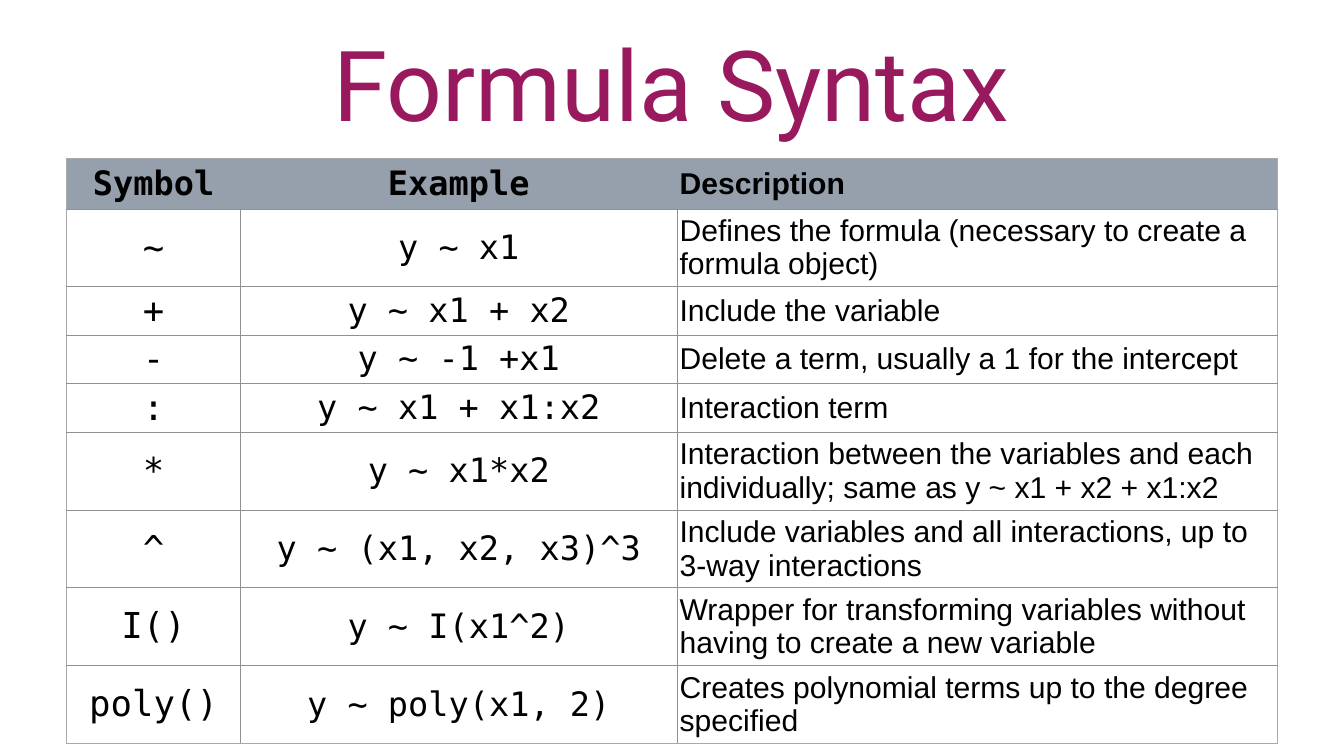
from lxml import etree
from pptx import Presentation
from pptx.dml.color import RGBColor
from pptx.enum.text import MSO_ANCHOR, PP_ALIGN
from pptx.oxml.ns import qn
from pptx.util import Pt

CENTER, LEFT = PP_ALIGN.CENTER, PP_ALIGN.LEFT
MIDDLE = MSO_ANCHOR.MIDDLE

# Content
TITLE = "Formula Syntax"
ROWS = [
    ("Symbol", "Example", "Description"),
    ("~", "y ~ x1", "Defines the formula (necessary to create a formula object)"),
    ("+", "y ~ x1 + x2", "Include the variable"),
    ("-", "y ~ -1 +x1", "Delete a term, usually a 1 for the intercept"),
    (":", "y ~ x1 + x1:x2", "Interaction term"),
    ("*", "y ~ x1*x2",
     "Interaction between the variables and each individually; same as y ~ x1 + x2 + x1:x2"),
    ("^", "y ~ (x1, x2, x3)^3",
     "Include variables and all interactions, up to 3-way interactions"),
    ("I()", "y ~ I(x1^2)",
     "Wrapper for transforming variables without having to create a new variable"),
    ("poly()", "y ~ poly(x1, 2)", "Creates polynomial terms up to the degree specified"),
]

# Layout: width, font, header size, body size and alignment of each column
COLUMNS = [
    (249, "DejaVu Sans Mono", 48, 51, CENTER),
    (623, "DejaVu Sans Mono", 48, 48, CENTER),
    (858, "Arial", 43, 43, LEFT),
]
HEADER_H, ONE_LINE_H, TWO_LINE_H = 71.5, 67.5, 110
ONE_LINE_CHARS = 45
INSET = 4
OUTER, INNER = ("A9A9A9", 2), ("909090", 1)


def rgb(color):
    return RGBColor.from_string(color)


def set_text(tf, text, font, size, color, align, bold=False):
    p = tf.paragraphs[0]
    p.text = text
    p.alignment = align
    p.font.name, p.font.size, p.font.bold = font, Pt(size), bold
    p.font.color.rgb = rgb(color)


def set_border(cell, side, line):
    ln = etree.SubElement(cell._tc.get_or_add_tcPr(), qn("a:ln" + side))
    if line is None:
        etree.SubElement(ln, qn("a:noFill"))
        return
    color, width = line
    ln.set("w", str(Pt(width)))
    fill = etree.SubElement(ln, qn("a:solidFill"))
    etree.SubElement(fill, qn("a:srgbClr")).set("val", color)


def row_height(i, row):
    if i == 0:
        return HEADER_H
    return TWO_LINE_H if len(row[-1]) > ONE_LINE_CHARS else ONE_LINE_H


prs = Presentation()
prs.slide_width, prs.slide_height = Pt(1920.24), Pt(1080)
s = prs.slides.add_slide(prs.slide_layouts[6])

# Title
tf = s.shapes.add_textbox(Pt(133), Pt(28), Pt(1654), Pt(180)).text_frame
tf.word_wrap = True
tf.vertical_anchor = MIDDLE
tf.margin_left = tf.margin_right = tf.margin_top = tf.margin_bottom = Pt(INSET)
set_text(tf, TITLE, "Roboto", 140, "99195E", CENTER)

# Table
heights = [row_height(i, row) for i, row in enumerate(ROWS)]
table = s.shapes.add_table(len(ROWS), len(COLUMNS), Pt(95), Pt(226.8),
                           Pt(sum(c[0] for c in COLUMNS)), Pt(sum(heights))).table
table.first_row = table.horz_banding = False
for col, (width, *_) in zip(table.columns, COLUMNS):
    col.width = Pt(width)

last_row, last_col = len(ROWS) - 1, len(COLUMNS) - 1
for i, row in enumerate(ROWS):
    table.rows[i].height = Pt(heights[i])
    header = i == 0
    divider = None if header else INNER
    for j, (text, column) in enumerate(zip(row, COLUMNS)):
        _, font, header_size, body_size, align = column
        cell = table.cell(i, j)
        set_text(cell.text_frame, text, font, header_size if header else body_size,
                 "000000", align, header)
        cell.vertical_anchor = MIDDLE
        cell.margin_left = cell.margin_right = Pt(INSET)
        cell.margin_top = cell.margin_bottom = Pt(INSET)

        # Borders come before the fill in the cell properties
        set_border(cell, "L", OUTER if j == 0 else divider)
        set_border(cell, "R", OUTER if j == last_col else divider)
        set_border(cell, "T", OUTER if header else INNER)
        set_border(cell, "B", OUTER if i == last_row else INNER)
        if header:
            cell.fill.solid()
            cell.fill.fore_color.rgb = rgb("96A0AC")
        else:
            cell.fill.background()

prs.save("out.pptx")
